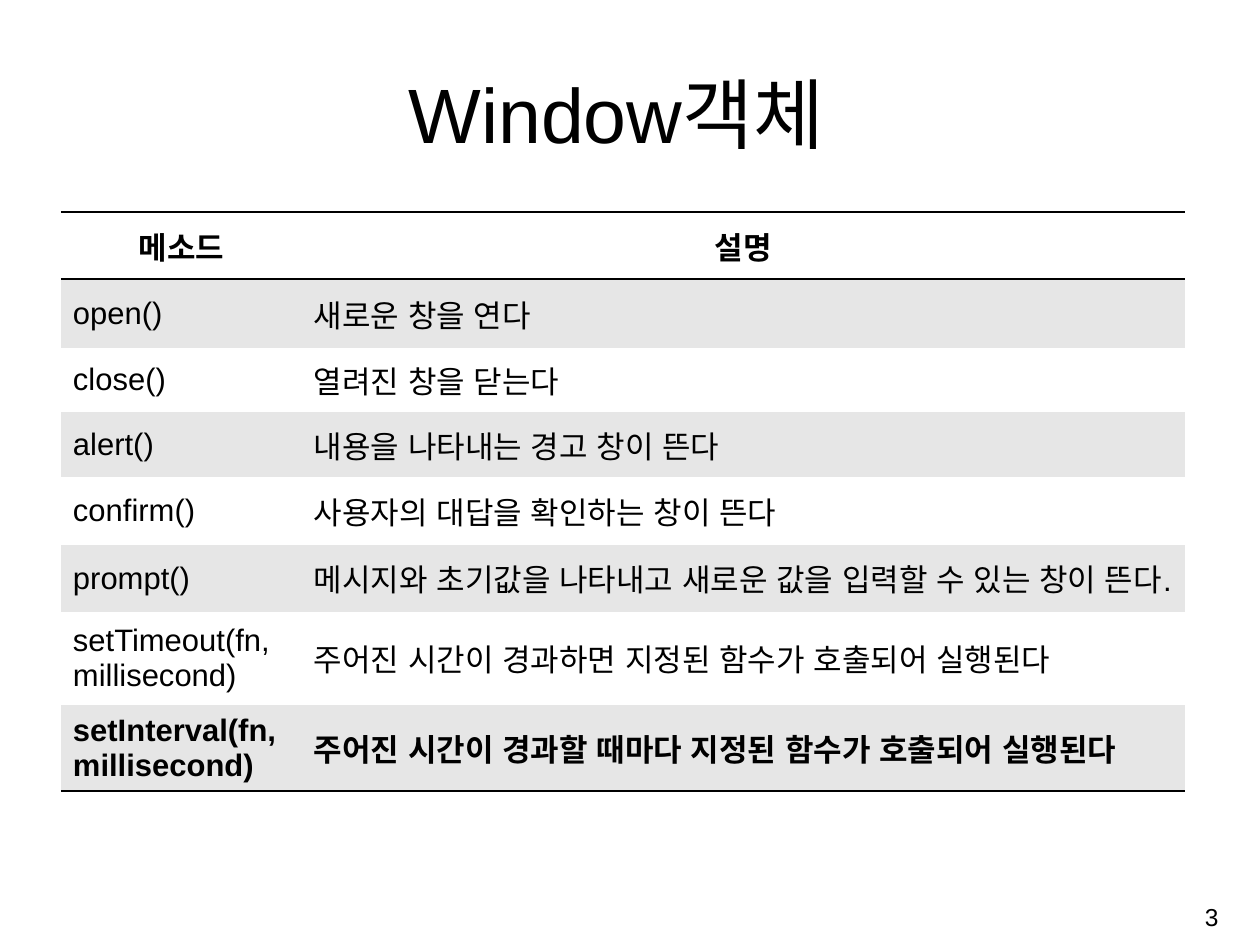
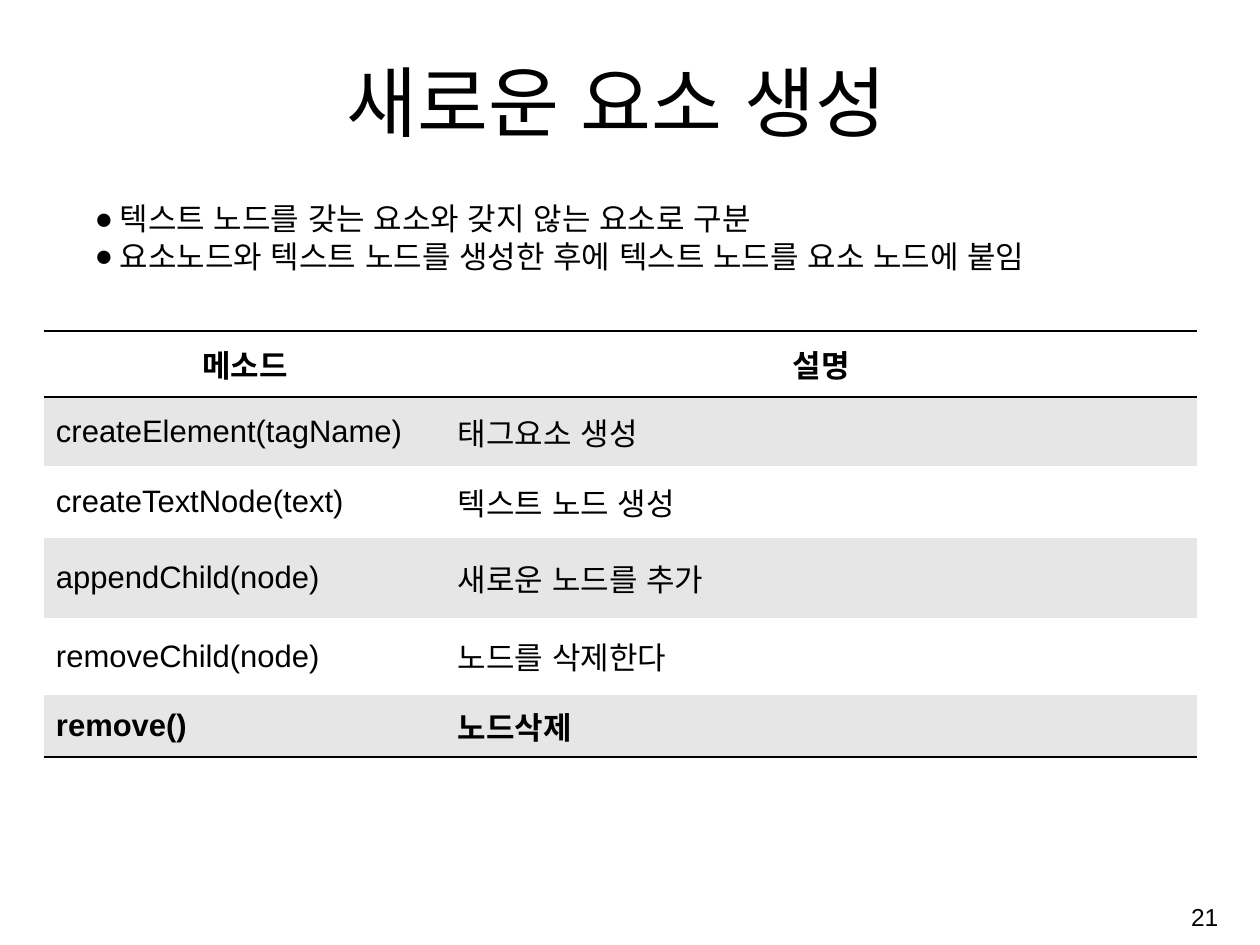
from dataclasses import dataclass

from lxml.etree import SubElement
from pptx import Presentation
from pptx.dml.color import RGBColor
from pptx.enum.lang import MSO_LANGUAGE_ID as Language
from pptx.enum.text import MSO_ANCHOR as Anchor, PP_ALIGN as Align
from pptx.oxml.ns import qn
from pptx.util import Pt

# Content
HEADINGS = ("메소드", "설명")
SLIDES = [
    {
        "title": "Window객체",
        "title_height": 105,
        "number": "3",
        "bullets": [],
        "table_at": (61, 212),
        "columns": (241, 883),
        "row_heights": (67, 69, 64, 65, 68, 67, 93, 82),
        "methods": [
            ("open()", "새로운 창을 연다"),
            ("close()", "열려진 창을 닫는다"),
            ("alert()", "내용을 나타내는 경고 창이 뜬다"),
            ("confirm()", "사용자의 대답을 확인하는 창이 뜬다"),
            ("prompt()", "메시지와 초기값을 나타내고 새로운 값을 입력할 수 있는 창이 뜬다."),
            ("setTimeout(fn, millisecond)", "주어진 시간이 경과하면 지정된 함수가 호출되어 실행된다"),
            ("setInterval(fn, millisecond)", "주어진 시간이 경과할 때마다 지정된 함수가 호출되어 실행된다"),
        ],
    },
    {
        "title": "새로운 요소 생성",
        "title_height": 93,
        "number": "21",
        "bullets": [
            "텍스트 노드를 갖는 요소와 갖지 않는 요소로 구분",
            "요소노드와 텍스트 노드를 생성한 후에 텍스트 노드를 요소 노드에 붙임",
        ],
        "table_at": (44, 331),
        "columns": (402, 751),
        "row_heights": (66, 69, 72, 80, 77, 62),
        "methods": [
            ("createElement(tagName)", "태그요소 생성"),
            ("createTextNode(text)", "텍스트 노드 생성"),
            ("appendChild(node)", "새로운 노드를 추가"),
            ("removeChild(node)", "노드를 삭제한다"),
            ("remove()", "노드삭제"),
        ],
    },
]


@dataclass(frozen=True)
class Theme:
    font: str = "Arial"
    ink: str = "000000"
    paper: str = "FFFFFF"
    band: str = "E6E6E6"
    title_size: float = 57.2
    body_size: float = 23
    number_size: float = 18.2
    rule_width: float = 2


THEME = Theme()
SLIDE_SIZE = (1260, 945)
BULLET_INDENT = 25
PLAIN_TABLE_STYLE = "{2D5ABB26-0587-4C30-8999-92F81FD0307C}"


def px(length):
    return round(length * 914400 / 97)


def write(frame, lines, size=THEME.body_size, bold=False, align=Align.LEFT, bullet=None):
    for index, line in enumerate(lines):
        para = frame.paragraphs[0] if index == 0 else frame.add_paragraph()
        para.alignment = align
        if bullet:
            add_bullet(para, bullet)
        span = para.add_run()
        span.text = line
        font = span.font
        font.name, font.size, font.bold = THEME.font, Pt(size), bold
        font.color.rgb = RGBColor.from_string(THEME.ink)
        font.language_id = Language.KOREAN


def add_bullet(para, mark):
    props = para._p.get_or_add_pPr()
    props.set("marL", str(px(BULLET_INDENT)))
    props.set("indent", str(-px(BULLET_INDENT)))
    color = SubElement(props, qn("a:buClr"))
    SubElement(color, qn("a:srgbClr")).set("val", THEME.ink)
    SubElement(props, qn("a:buFont")).set("typeface", THEME.font)
    SubElement(props, qn("a:buChar")).set("char", mark)


def add_text(page, place, lines, anchor, **style):
    box = page.shapes.add_textbox(*map(px, place))
    frame = box.text_frame
    frame.word_wrap = True
    frame.vertical_anchor = anchor
    write(frame, lines, **style)


def add_rule(cell, side):
    line = SubElement(cell._tc.get_or_add_tcPr(), qn(f"a:{side}"))
    line.set("w", str(Pt(THEME.rule_width)))
    fill = SubElement(line, qn("a:solidFill"))
    SubElement(fill, qn("a:srgbClr")).set("val", THEME.ink)


def add_method_table(page, content):
    rows = [HEADINGS, *content["methods"]]
    columns, heights = content["columns"], content["row_heights"]
    place = (*content["table_at"], sum(columns), sum(heights))
    table = page.shapes.add_table(len(rows), len(columns), *map(px, place)).table
    table.first_row = table.horz_banding = False
    table._tbl.tblPr.find(qn("a:tableStyleId")).text = PLAIN_TABLE_STYLE
    for column, width in zip(table.columns, columns):
        column.width = px(width)
    last = len(rows) - 1
    for index, (row, height) in enumerate(zip(table.rows, heights)):
        row.height = px(height)
        heading = index == 0
        for cell, text in zip(row.cells, rows[index]):
            cell.vertical_anchor = Anchor.MIDDLE
            cell.margin_left = cell.margin_right = px(12)
            cell.margin_top = cell.margin_bottom = px(6)
            # Rules close the heading and the table
            if heading:
                add_rule(cell, "lnT")
            if index in (0, last):
                add_rule(cell, "lnB")
            cell.fill.solid()
            cell.fill.fore_color.rgb = RGBColor.from_string(THEME.band if index % 2 else THEME.paper)
            write(cell.text_frame, [text], bold=index in (0, last),
                  align=Align.CENTER if heading else Align.LEFT)


def build_slide(deck, content):
    page = deck.slides.add_slide(deck.slide_layouts[6])
    page.background.fill.solid()
    page.background.fill.fore_color.rgb = RGBColor.from_string(THEME.paper)
    # Title and page number
    add_text(page, (102, 59, 1029, content["title_height"]), [content["title"]],
             Anchor.BOTTOM, size=THEME.title_size, align=Align.CENTER)
    add_text(page, (968, 888, 260, 58), [content["number"]],
             Anchor.MIDDLE, size=THEME.number_size, align=Align.RIGHT)
    # Body
    if content["bullets"]:
        add_text(page, (85, 174, 1070, 105), content["bullets"], Anchor.BOTTOM, bullet="●")
    add_method_table(page, content)


def main():
    deck = Presentation()
    deck.slide_width, deck.slide_height = map(px, SLIDE_SIZE)
    for content in SLIDES:
        build_slide(deck, content)
    deck.save("out.pptx")


if __name__ == "__main__":
    main()
